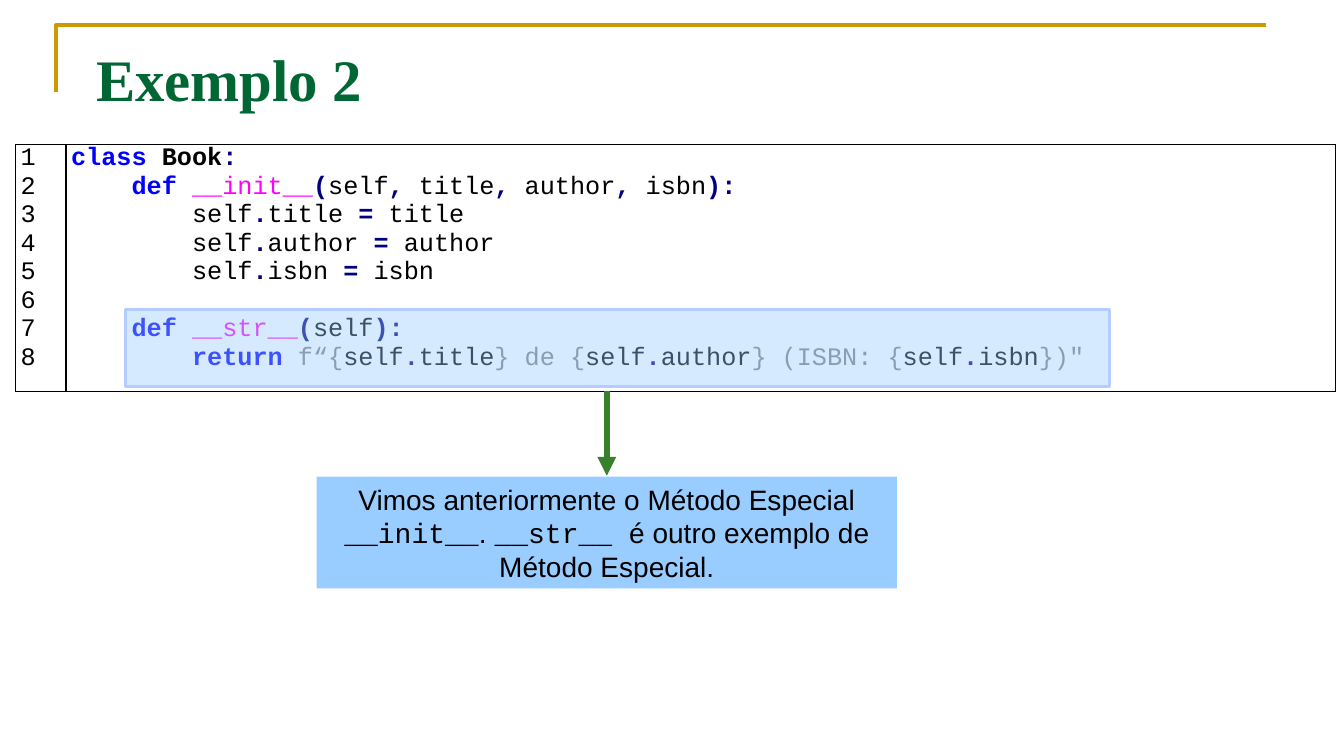
from lxml.etree import SubElement
from pptx import Presentation
from pptx.dml.color import RGBColor
from pptx.enum.shapes import MSO_CONNECTOR as Connector, MSO_SHAPE as Shape
from pptx.enum.text import MSO_ANCHOR as Anchor, PP_ALIGN as Align
from pptx.oxml.ns import qn
from pptx.util import Pt

MONO = "Courier New"
BLACK, GRAY, NAVY, BLUE, MAGENTA = "000000", "808080", "000080", "0000FF", "FF00FF"
SKY = "99CCFF"
CODE = """class| |Book|:
    |def| |__init__|(|self|,| title|,| author|,| isbn|):
        self|.|title |=| title
        self|.|author |=| author
        self|.|isbn |=| isbn

    |def| |__str__|(|self|):
        |return| |f“{|self|.|title|} de {|self|.|author|} (ISBN: {|self|.|isbn|})\"""".split("\n")
TOKEN_GROUPS = [
    (("class", "def", "return"), dict(color=BLUE, bold=True)),
    (("Book",), dict(bold=True)),
    (("__init__", "__str__"), dict(color=MAGENTA)),
    ((":", "(", ",", "):", ".", "="), dict(color=NAVY, bold=True)),
    (("f“{", "} de {", "} (ISBN: {", "})\""), dict(color=GRAY)),
]
SYNTAX = {token: look for tokens, look in TOKEN_GROUPS for token in tokens}


def paint(target, color):
    """Give a fill or line format a solid colour from a hex string."""
    target.solid()
    target.fore_color.rgb = RGBColor.from_string(color)


def write(frame, paragraphs, size=18, font="Arial", color=BLACK, bold=False,
          align=Align.LEFT, anchor=Anchor.TOP):
    """Write paragraphs made of (text, overrides) runs into a text frame."""
    frame.word_wrap = True
    frame.vertical_anchor = anchor
    for index, runs in enumerate(paragraphs):
        paragraph = frame.paragraphs[0] if index == 0 else frame.add_paragraph()
        paragraph.alignment = align
        for text, overrides in runs:
            look = dict(size=size, font=font, color=color, bold=bold) | overrides
            run = paragraph.add_run()
            run.text = text
            run.font.size = Pt(look["size"])
            run.font.name = look["font"]
            run.font.bold = look["bold"]
            paint(run.font.fill, look["color"])
        if not runs:
            ending = SubElement(paragraph._p, qn("a:endParaRPr"), sz=str(size * 100))
            SubElement(ending, qn("a:latin"), typeface=font)


def add_box(slide, left, top, width, height, fill, line=None):
    """Add a flat rectangle with an optional outline colour."""
    box = slide.shapes.add_shape(Shape.RECTANGLE, Pt(left), Pt(top), Pt(width), Pt(height))
    box.shadow.inherit = False
    paint(box.fill, fill)
    if line:
        paint(box.line.fill, line)
        box.line.width = Pt(2)
    else:
        box.line.fill.background()
    return box


def add_header(slide, left, top, width, height, title):
    """Draw the corner rule and set the title inside it."""
    builder = slide.shapes.build_freeform(Pt(left), Pt(top + height))
    builder.add_line_segments([(Pt(left), Pt(top)), (Pt(left + width), Pt(top))], close=False)
    corner = builder.convert_to_shape()
    corner.shadow.inherit = False
    corner.fill.background()
    paint(corner.line.fill, "CC9900")
    corner.line.width = Pt(2.5)
    heading = slide.shapes.add_textbox(Pt(left + 21.6), Pt(top + 8), Pt(width), Pt(59))
    write(heading.text_frame, [[(title, {})]], size=42, font="Times New Roman",
          color="006633", bold=True, anchor=Anchor.MIDDLE)


def add_border(cell):
    """Outline a table cell with thin black lines."""
    properties = cell._tc.get_or_add_tcPr()
    for index, side in enumerate(("lnL", "lnR", "lnT", "lnB")):
        border = SubElement(properties, qn(f"a:{side}"), w=str(Pt(1)))
        SubElement(SubElement(border, qn("a:solidFill")), qn("a:srgbClr"), val=BLACK)
        properties.insert(index, border)


def add_listing(slide, left, top, width, height, lines):
    """Set numbered source code in a table and highlight its last method."""
    number_width = 36
    table = slide.shapes.add_table(1, 2, Pt(left), Pt(top), Pt(width), Pt(height)).table
    table.first_row = table.horz_banding = False
    table.rows[0].height = Pt(height)
    numbers = [[(str(number), {})] for number in range(1, len(lines) + 1)]
    source = [[(token, SYNTAX.get(token, {})) for token in line.split("|")] if line else []
              for line in lines]
    columns = [(number_width, numbers), (width - number_width, source)]
    for index, (column_width, paragraphs) in enumerate(columns):
        table.columns[index].width = Pt(column_width)
        cell = table.cell(0, index)
        cell.margin_left = cell.margin_right = Pt(3.6)
        cell.margin_top = cell.margin_bottom = 0
        cell.fill.background()
        add_border(cell)
        write(cell.text_frame, paragraphs, font=MONO)
    highlight = add_box(slide, left + 78.5, top + 118, 702.7, 54.7, SKY, "B4CCFF")
    tint = highlight.fill._xPr.find(qn("a:solidFill"))[0]
    SubElement(tint, qn("a:alpha"), val="40000")


def add_callout(slide, left, top, width, height, arrow_length, runs):
    """Place a note below an arrow that points down to it."""
    center = left + width / 2
    arrow = slide.shapes.add_connector(
        Connector.STRAIGHT, Pt(center), Pt(top - arrow_length), Pt(center), Pt(top - 0.7))
    paint(arrow.line.fill, "38802C")
    arrow.line.width = Pt(4.5)
    SubElement(arrow.line._get_or_add_ln(), qn("a:tailEnd"), type="triangle")
    SubElement(arrow._element.spPr, qn("a:effectLst"))
    note = add_box(slide, left, top, width, height, SKY)
    write(note.text_frame, [runs], size=20, align=Align.CENTER, anchor=Anchor.MIDDLE)


def main():
    """Build the slide and save it."""
    deck = Presentation()
    deck.slide_width, deck.slide_height = Pt(960), Pt(540)
    slide = deck.slides.add_slide(deck.slide_layouts[6])
    add_header(slide, 40, 18, 864, 48, "Exemplo 2")
    add_listing(slide, 11.2, 103.2, 942.5, 176.4, CODE)
    mono = dict(font=MONO)
    add_callout(slide, 226.2, 340.5, 414.5, 79.8, 61, [
        ("Vimos anteriormente o Método Especial ", {}),
        ("__init__", mono),
        (". ", {}),
        ("__str__ ", mono),
        ("é outro exemplo de Método Especial.", {}),
    ])
    deck.save("out.pptx")


if __name__ == "__main__":
    main()
